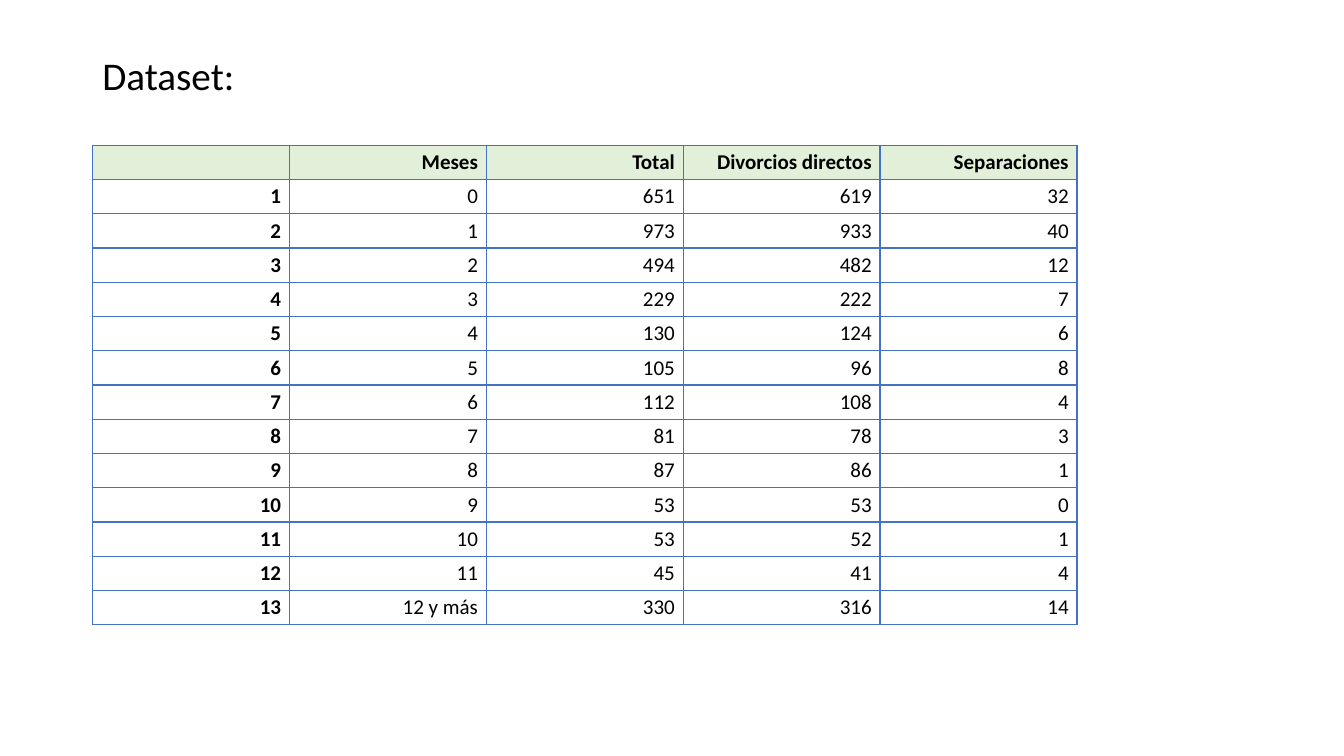
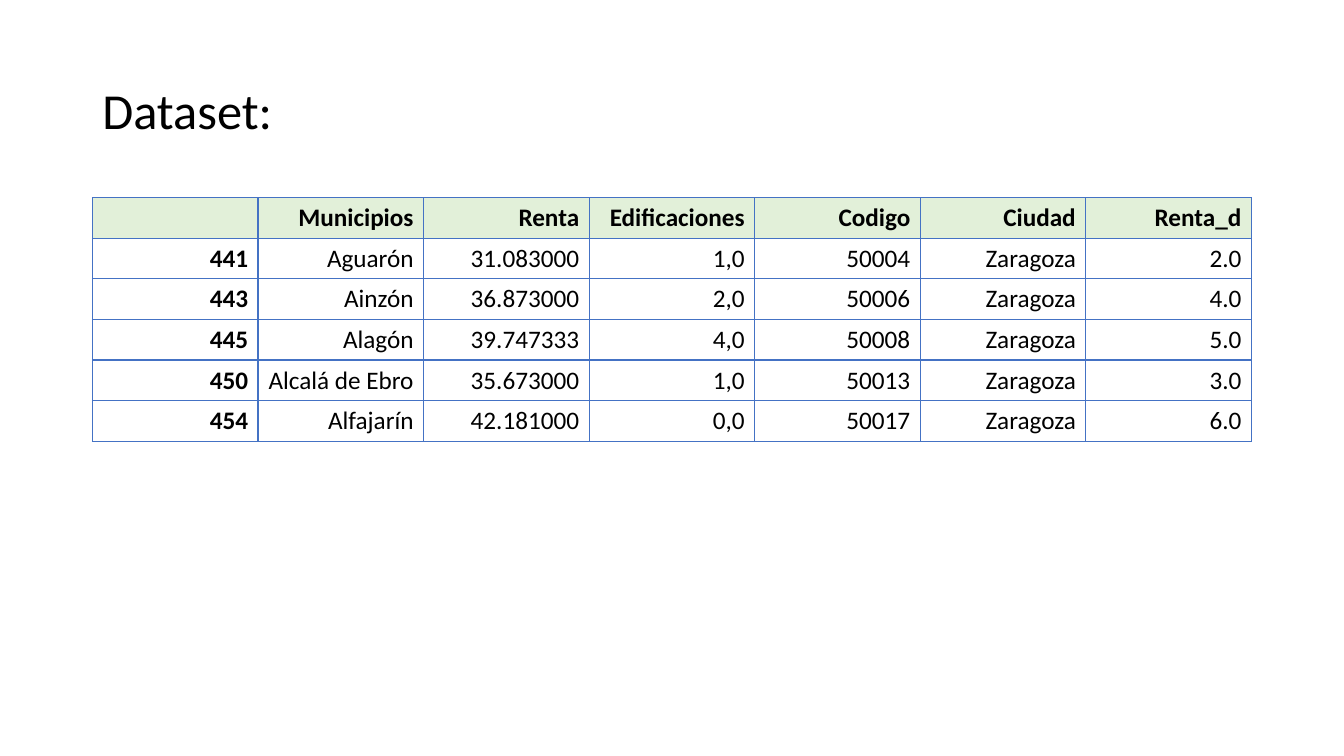
from dataclasses import dataclass

from lxml import etree
from pptx import Presentation
from pptx import util as u
from pptx.dml.color import RGBColor
from pptx.enum import text
from pptx.oxml.ns import qn


@dataclass(frozen=True)
class Theme:
    font: str = "Calibri"
    ink: str = "000000"
    header: str = "E2F0D9"
    border: str = "4472C4"
    border_width: int = u.Pt(1)
    title_sizes: tuple = (28, 36)
    table_sizes: tuple = (15, 18)
    left: int = u.Cm(2.33)
    title_top: int = u.Cm(1.01)
    title_width: int = u.Cm(29.21)


theme = Theme()

divorces = [
    ("", "Meses", "Total", "Divorcios directos", "Separaciones"),
    ("1", "0", "651", "619", "32"),
    ("2", "1", "973", "933", "40"),
    ("3", "2", "494", "482", "12"),
    ("4", "3", "229", "222", "7"),
    ("5", "4", "130", "124", "6"),
    ("6", "5", "105", "96", "8"),
    ("7", "6", "112", "108", "4"),
    ("8", "7", "81", "78", "3"),
    ("9", "8", "87", "86", "1"),
    ("10", "9", "53", "53", "0"),
    ("11", "10", "53", "52", "1"),
    ("12", "11", "45", "41", "4"),
    ("13", "12 y más", "330", "316", "14"),
]

towns = [
    ("", "Municipios", "Renta", "Edificaciones", "Codigo", "Ciudad", "Renta_d"),
    ("441", "Aguarón", "31.083000", "1,0", "50004", "Zaragoza", "2.0"),
    ("443", "Ainzón", "36.873000", "2,0", "50006", "Zaragoza", "4.0"),
    ("445", "Alagón", "39.747333", "4,0", "50008", "Zaragoza", "5.0"),
    ("450", "Alcalá de Ebro", "35.673000", "1,0", "50013", "Zaragoza", "3.0"),
    ("454", "Alfajarín", "42.181000", "0,0", "50017", "Zaragoza", "6.0"),
]

datasets = [
    dict(rows=divorces, title_height=u.Cm(1.88), top=u.Cm(3.66), width=u.Cm(24.81),
         height=u.Cm(12.09), margin_x=u.Cm(0.21), margin_y=u.Cm(0.1)),
    dict(rows=towns, title_height=u.Cm(3.68), top=u.Cm(4.98), width=u.Cm(29.21),
         height=u.Cm(6.1), margin_x=u.Cm(0.25), margin_y=u.Cm(0.13)),
]


def add_run(paragraph, words, size, bold=False):
    run = paragraph.add_run()
    run.text = words
    run.font.name = theme.font
    run.font.size = u.Pt(size)
    run.font.bold = bold
    run.font.color.rgb = RGBColor.from_string(theme.ink)


def add_borders(cell):
    properties = cell._tc.get_or_add_tcPr()
    for side in ("a:lnL", "a:lnR", "a:lnT", "a:lnB"):
        line = etree.SubElement(properties, qn(side), w=str(theme.border_width))
        fill = etree.SubElement(line, qn("a:solidFill"))
        etree.SubElement(fill, qn("a:srgbClr"), val=theme.border)


presentation = Presentation()
presentation.slide_width = u.Cm(33.87)
presentation.slide_height = u.Cm(19.05)

for dataset, title_size, table_size in zip(datasets, theme.title_sizes, theme.table_sizes):
    slide = presentation.slides.add_slide(presentation.slide_layouts[6])

    title = slide.shapes.add_textbox(
        theme.left, theme.title_top, theme.title_width, dataset["title_height"])
    title.text_frame.word_wrap = True
    title.text_frame.vertical_anchor = text.MSO_ANCHOR.MIDDLE
    paragraph = title.text_frame.paragraphs[0]
    paragraph.line_spacing = 0.9
    add_run(paragraph, "Dataset:", title_size)

    rows = dataset["rows"]
    table = slide.shapes.add_table(
        len(rows), len(rows[0]), theme.left, dataset["top"],
        dataset["width"], dataset["height"]).table
    table.first_row = False
    table.horz_banding = False

    for row_index, row in enumerate(rows):
        for column_index, words in enumerate(row):
            cell = table.cell(row_index, column_index)
            cell.margin_left = cell.margin_right = dataset["margin_x"]
            cell.margin_top = cell.margin_bottom = dataset["margin_y"]
            cell.vertical_anchor = text.MSO_ANCHOR.MIDDLE
            add_borders(cell)
            if row_index == 0:
                cell.fill.solid()
                cell.fill.fore_color.rgb = RGBColor.from_string(theme.header)
            else:
                cell.fill.background()
            paragraph = cell.text_frame.paragraphs[0]
            paragraph.alignment = text.PP_ALIGN.RIGHT
            if words:
                add_run(paragraph, words, table_size, row_index == 0 or column_index == 0)
            else:
                etree.SubElement(paragraph._p, qn("a:endParaRPr"), sz=str(table_size * 100))

presentation.save("out.pptx")
